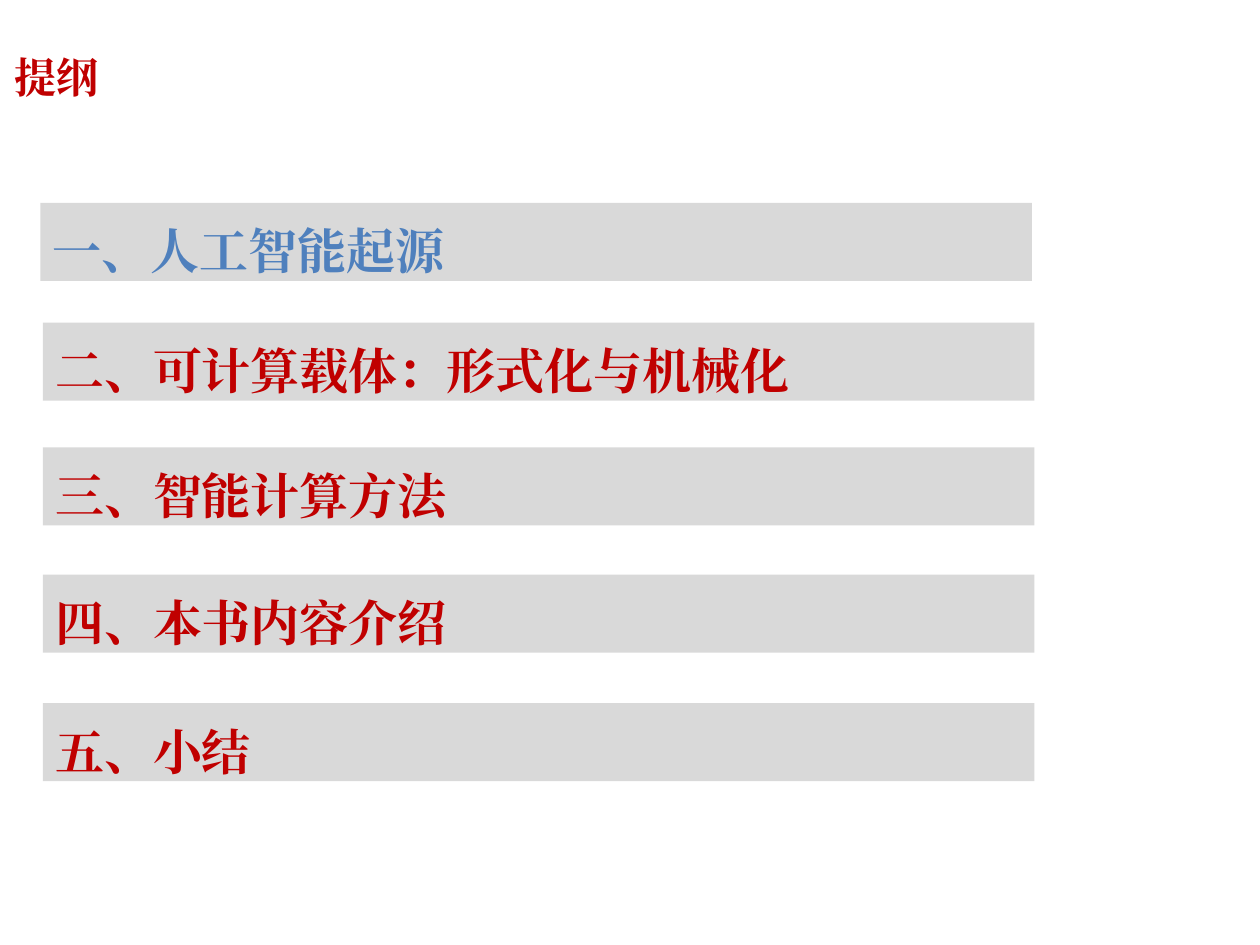
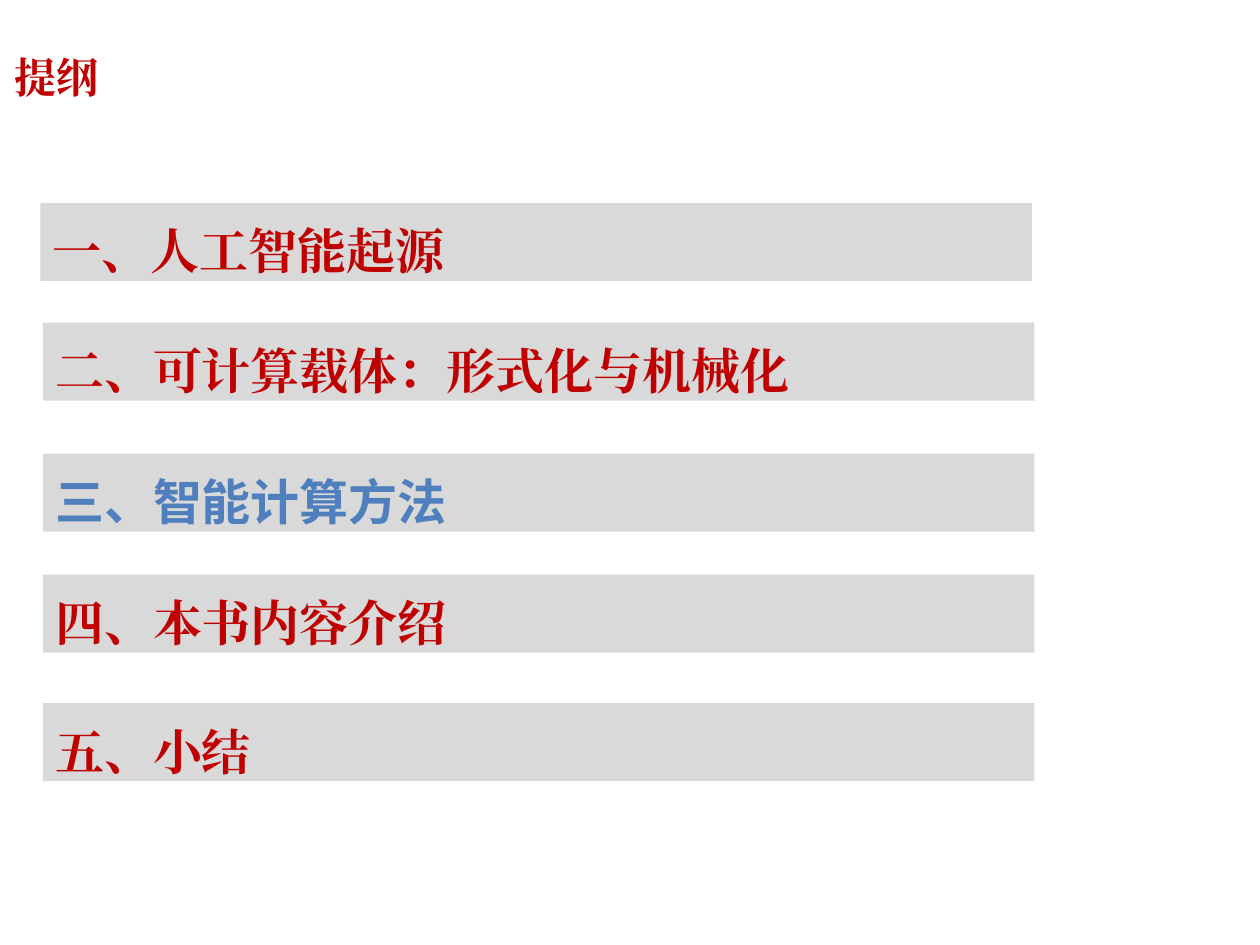
from dataclasses import dataclass

from lxml.etree import SubElement
from pptx import Presentation
from pptx.dml.color import RGBColor
from pptx.enum.shapes import MSO_SHAPE as Shape
from pptx.enum.text import MSO_ANCHOR as Anchor, MSO_AUTO_SIZE as AutoSize, PP_ALIGN as Align
from pptx.oxml.ns import qn
from pptx.util import Inches, Pt


@dataclass(frozen=True)
class Theme:
    red: RGBColor = RGBColor(0xC0, 0x00, 0x00)
    highlight: RGBColor = RGBColor(0x4F, 0x80, 0xBD)
    band: RGBColor = RGBColor(0xD9, 0xD9, 0xD9)
    font: str = "Times New Roman"
    title_size: int = 24
    item_size: int = 28


theme = Theme()


def add_span(para, text, size, color, font=theme.font):
    """Add one bold run, with the same face for Latin and Chinese text."""
    span = para.add_run()
    span.text = text
    span.font.size = Pt(size)
    span.font.bold = True
    span.font.color.rgb = color
    span.font.name = font
    SubElement(span.font._element, qn("a:ea"), typeface=font)


# Outline entries: left, top, text
outline = [
    (0.32, 1.61, "一、人工智能起源"),
    (0.34, 2.56, "二、可计算载体：形式化与机械化"),
    (0.34, 3.55, "三、智能计算方法"),
    (0.34, 4.56, "四、本书内容介绍"),
    (0.34, 5.58, "五、小结"),
]

# Each page: index of the current entry, its downward shift, its font
pages = [(0, 0, theme.font), (2, 0.05, "Arial")]

deck = Presentation()
deck.slide_width, deck.slide_height = Inches(10), Inches(7.5)

for current, shift, current_font in pages:
    page = deck.slides.add_slide(deck.slide_layouts[6])

    # Title
    box = page.shapes.add_textbox(Inches(0.02), Inches(0.11), Inches(7.42), Inches(0.99))
    box.text_frame.word_wrap = True
    box.text_frame.vertical_anchor = Anchor.MIDDLE
    add_span(box.text_frame.paragraphs[0], "提纲", theme.title_size, theme.red)

    # Outline bands, with the current entry highlighted
    for index, (left, top, text) in enumerate(outline):
        is_current = index == current
        if is_current:
            top += shift
        band = page.shapes.add_shape(
            Shape.RECTANGLE, Inches(left), Inches(top), Inches(7.87), Inches(0.62))
        band.shadow.inherit = False
        band.fill.solid()
        band.fill.fore_color.rgb = theme.band
        band.line.fill.background()

        frame = band.text_frame
        frame.word_wrap = True
        frame.auto_size = AutoSize.SHAPE_TO_FIT_TEXT
        frame.vertical_anchor = Anchor.TOP
        para = frame.paragraphs[0]
        para.alignment = Align.LEFT
        para.line_spacing = 1.2
        add_span(para, text, theme.item_size,
                 theme.highlight if is_current else theme.red,
                 current_font if is_current else theme.font)

deck.save("out.pptx")
